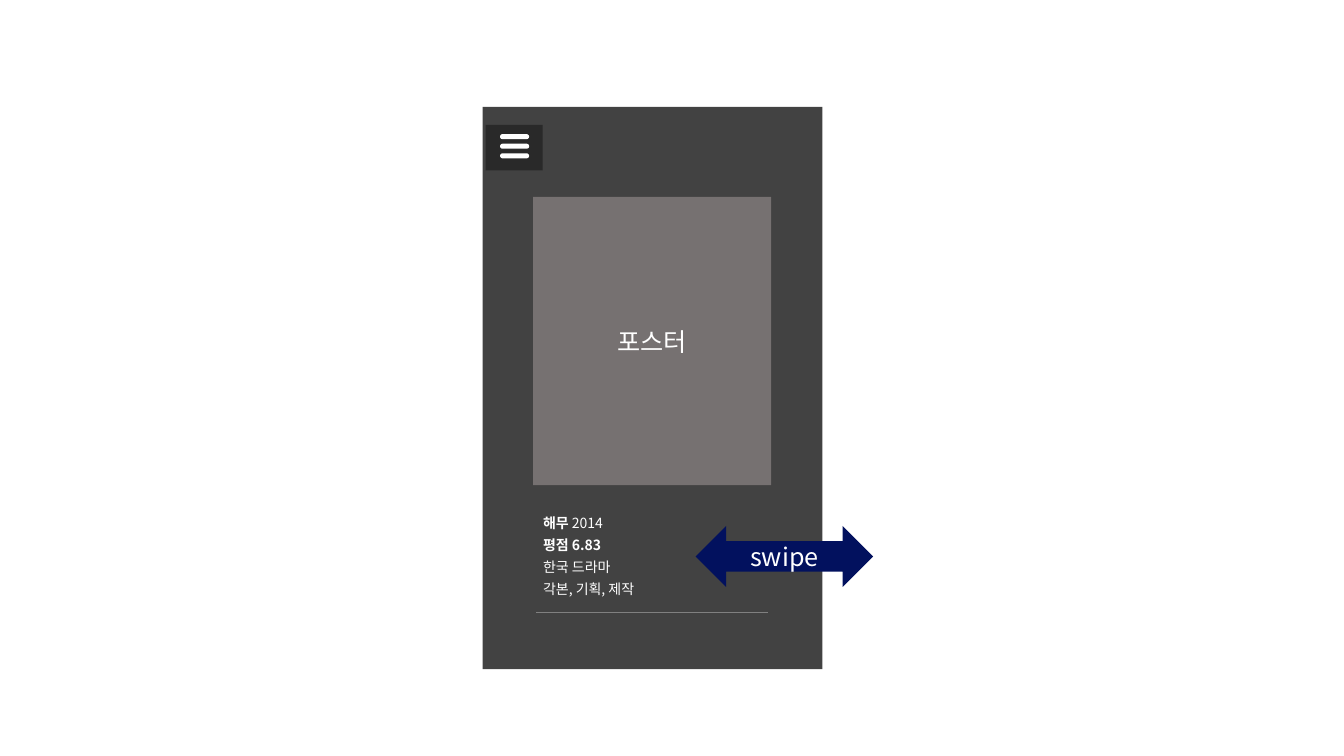
"""Build a wireframe slide of a mobile film page with a swipe gesture."""
from dataclasses import dataclass

from lxml.etree import SubElement
from pptx import Presentation
from pptx.dml.color import RGBColor
from pptx.enum.shapes import MSO_CONNECTOR, MSO_SHAPE
from pptx.enum.text import MSO_ANCHOR, PP_ALIGN
from pptx.oxml.ns import qn
from pptx.shapes.autoshape import Shape
from pptx.text.text import Font
from pptx.util import Pt

FONT = "Noto Sans CJK KR"
WHITE = "FFFFFF"
BAR_TOP, BAR_STEP = 95.8, 6.85


@dataclass
class Block:
    left: float
    top: float
    width: float
    height: float
    fill: str
    kind: MSO_SHAPE = MSO_SHAPE.RECTANGLE
    label: str = ""


PANEL = Block(344.8, 76.4, 242.6, 401.6, "424242")
BUTTON = Block(347, 89.2, 40.6, 32.5, "0D0D0D")
BARS = [
    Block(357.2, BAR_TOP + row * BAR_STEP, 20.8, 3.6, WHITE, MSO_SHAPE.ROUNDED_RECTANGLE)
    for row in range(3)
]
POSTER = Block(380.9, 140.6, 169.9, 206, "767171", label="포스터")
SWIPE = Block(496.9, 375.7, 126.8, 43.6, "02115E", MSO_SHAPE.LEFT_RIGHT_ARROW, "swipe")
DETAILS = [
    [("해무", True), (" 2014", False)],
    [("평점 6.83", True)],
    [("한국\u00a0드라마", False)],
    [("각본,\u00a0기획,\u00a0제작", False)],
]


def color(value: str) -> RGBColor:
    return RGBColor.from_string(value)


def style_font(font: Font, size: float) -> None:
    font.name, font.size = FONT, Pt(size)
    font.color.rgb = color(WHITE)


def set_east_asian(properties) -> None:
    SubElement(properties, qn("a:ea"), typeface=FONT)


def add_block(shapes, block: Block) -> Shape:
    shape = shapes.add_shape(
        block.kind, Pt(block.left), Pt(block.top), Pt(block.width), Pt(block.height)
    )
    shape.shadow.inherit = False
    shape.fill.solid()
    shape.fill.fore_color.rgb = color(block.fill)
    shape.line.fill.background()
    if block.label:
        shape.text_frame.vertical_anchor = MSO_ANCHOR.MIDDLE
        para = shape.text_frame.paragraphs[0]
        para.alignment = PP_ALIGN.CENTER
        span = para.add_run()
        span.text = block.label
        style_font(para.font, 18)
        style_font(span.font, 18)
        set_east_asian(span.font._element)
    return shape


def add_menu(page) -> None:
    menu = page.shapes.add_group_shape()
    button = add_block(menu.shapes, BUTTON)
    tint = button.fill._xPr.find(qn("a:solidFill"))[0]
    SubElement(tint, qn("a:alpha"), val="47000")
    for bar in BARS:
        add_block(menu.shapes, bar).adjustments[0] = 0.5


def add_details(page) -> None:
    box = page.shapes.add_textbox(Pt(380.9), Pt(360.7), Pt(99.4), Pt(100.8))
    frame = box.text_frame
    frame.word_wrap = True
    for index, spans in enumerate(DETAILS):
        para = frame.add_paragraph() if index else frame.paragraphs[0]
        para.line_spacing = 1.3
        style_font(para.font, 10)
        for text, bold in spans:
            span = para.add_run()
            span.text = text
            style_font(span.font, 10)
            span.font.bold = bold
            set_east_asian(span.font._element)


def add_divider(page) -> None:
    line = page.shapes.add_connector(
        MSO_CONNECTOR.STRAIGHT, Pt(383), Pt(437.6), Pt(548.6), Pt(437.6)
    )
    line.line.color.rgb = color("808080")
    line.line.width = Pt(0.5)
    SubElement(line._element.spPr, qn("a:effectLst"))


def main() -> None:
    deck = Presentation()
    deck.slide_width, deck.slide_height = Pt(960), Pt(540)
    page = deck.slides.add_slide(deck.slide_layouts[6])
    add_block(page.shapes, PANEL)
    add_menu(page)
    add_block(page.shapes, POSTER)
    add_details(page)
    add_divider(page)
    add_block(page.shapes, SWIPE)
    deck.save("out.pptx")


if __name__ == "__main__":
    main()
